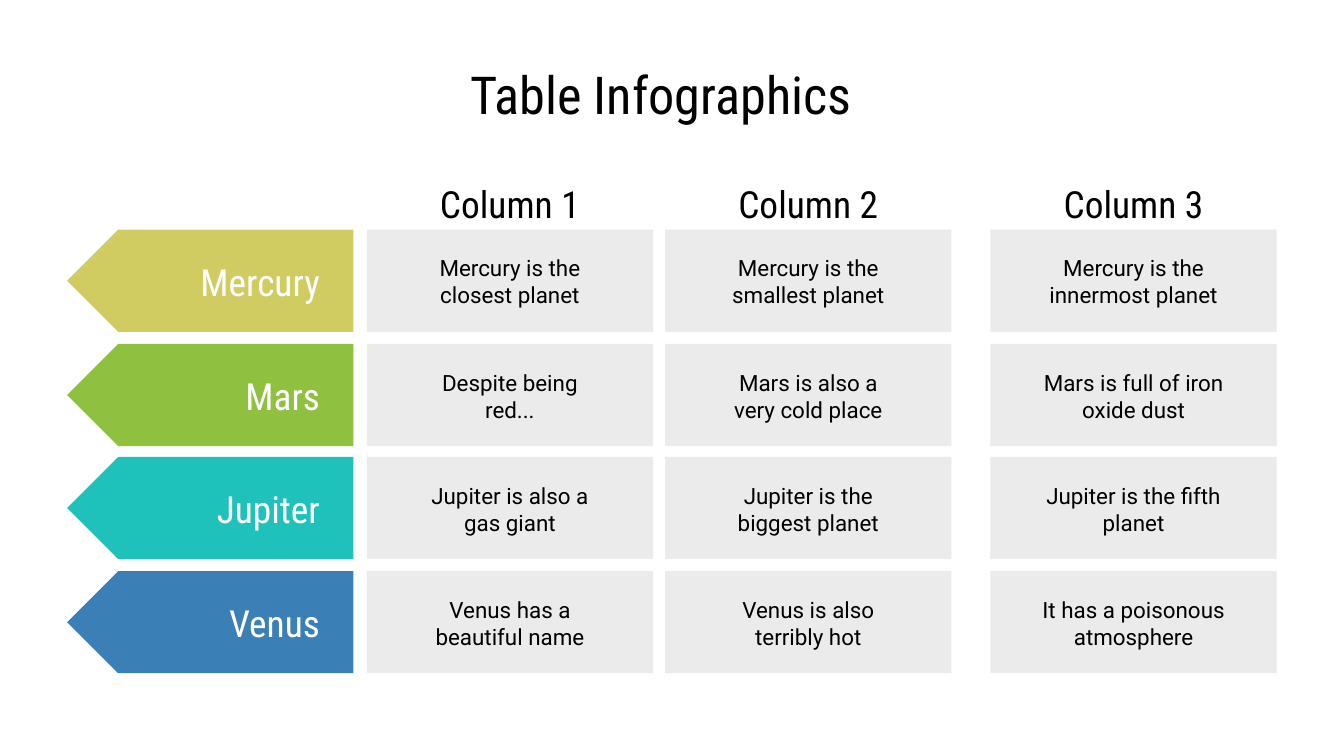
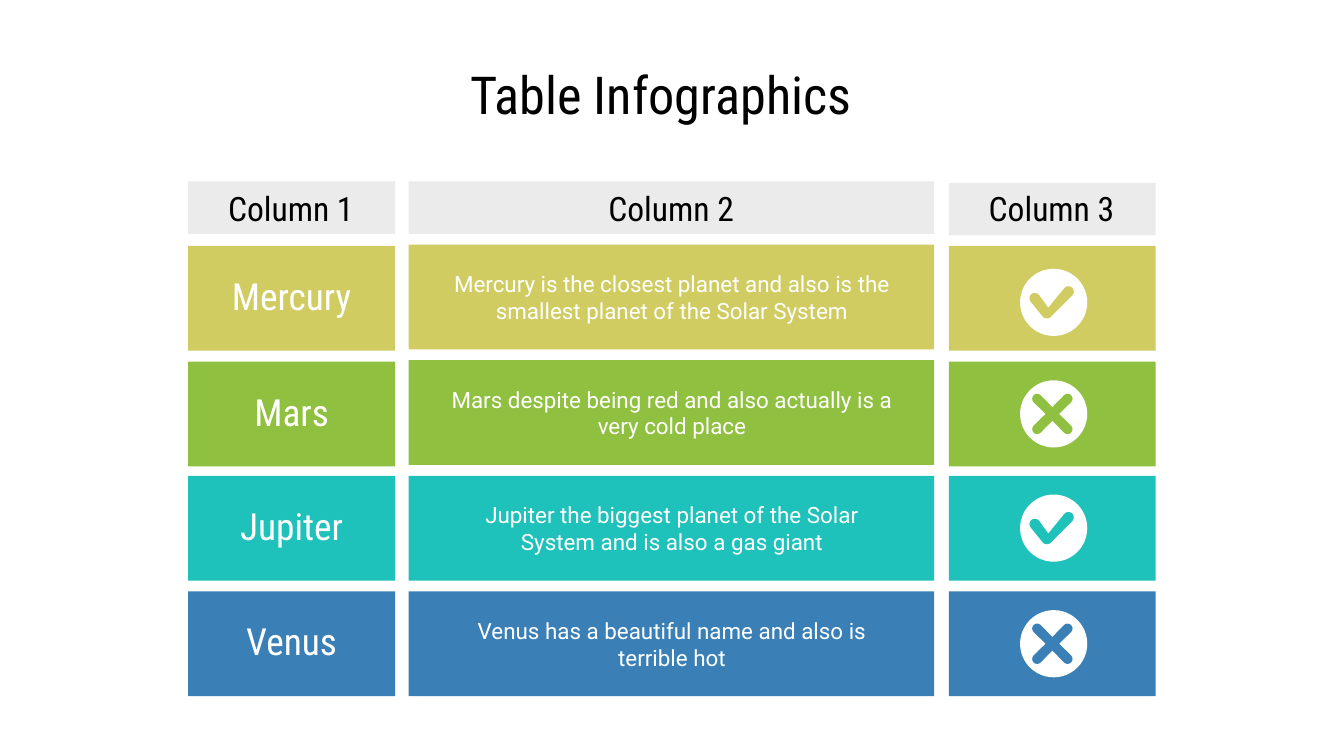
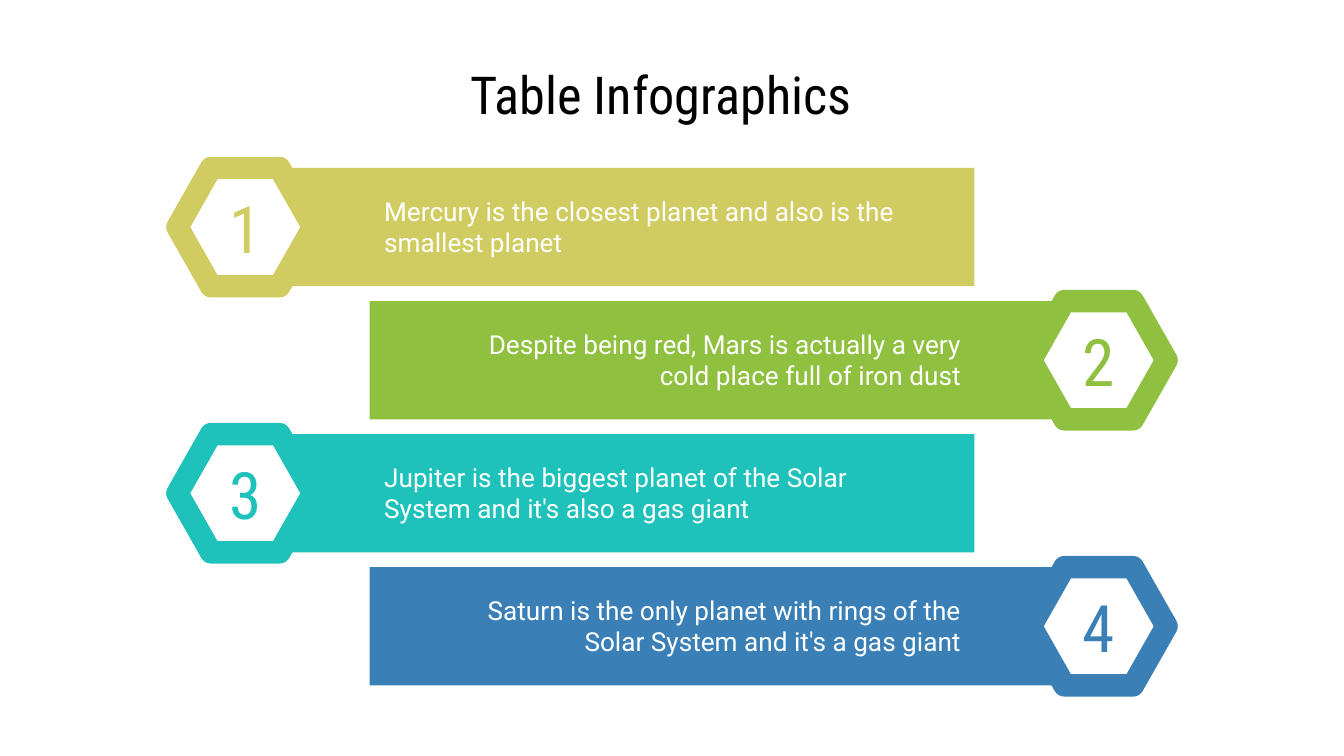
"""Build three table infographic slides about planets."""
import dataclasses
import math
import typing

import lxml.etree
import pptx
import pptx.dml.color
import pptx.enum.shapes
import pptx.enum.text
import pptx.shapes.autoshape
import pptx.shapes.shapetree
import pptx.slide
import pptx.util

PX = 9144
SLIDE_WIDTH = 1000 * PX
SLIDE_HEIGHT = SLIDE_WIDTH * 9 // 16
DRAWING_NS = "http://schemas.openxmlformats.org/drawingml/2006/main"
LEFT = pptx.enum.text.PP_ALIGN.LEFT
CENTER = pptx.enum.text.PP_ALIGN.CENTER
RIGHT = pptx.enum.text.PP_ALIGN.RIGHT
PRESETS = pptx.enum.shapes.MSO_SHAPE

Shapes = typing.Union[pptx.shapes.shapetree.SlideShapes, pptx.shapes.shapetree.GroupShapes]
Shape = pptx.shapes.autoshape.Shape


@dataclasses.dataclass(frozen=True)
class Theme:
    """Colours, fonts and type sizes shared by the slides."""

    ink: str = "000000"
    paper: str = "FFFFFF"
    panel: str = "EBEBEB"
    mercury: str = "D1CC62"
    mars: str = "8FC03F"
    jupiter: str = "1FC2BA"
    venus: str = "3A80B6"
    display: str = "Roboto Condensed"
    body: str = "Roboto"
    title_size: int = 28
    label_size: int = 20
    header_size: int = 18
    fact_size: int = 12
    note_size: int = 14
    number_size: int = 35
    badge_line: int = 12


THEME = Theme()


class Box(typing.NamedTuple):
    """A rectangle in px."""

    left: int
    top: int
    width: int
    height: int

    def emu(self) -> list[int]:
        """Return the rectangle in EMU."""
        return [length * PX for length in self]


class TextStyle(typing.NamedTuple):
    """How one kind of text looks."""

    font: str
    size: int
    color: str
    align: typing.Any = CENTER
    pad_y: int = 10


class Fact(typing.NamedTuple):
    """A table entry and the width of its text."""

    text: str
    width: int = 157


class Arc(typing.NamedTuple):
    """A rounded corner in px and degrees; radius 0 makes it sharp."""

    x: float
    y: float
    radius: float = 0
    start: int = 0
    end: int = 0

    def points(self) -> list[tuple[float, float]]:
        """Return points along the corner."""
        steps = 8 if self.radius else 0
        angles = [math.radians(self.start + (self.end - self.start) * step / max(steps, 1))
                  for step in range(steps + 1)]
        return [(self.x + self.radius * math.cos(angle), self.y + self.radius * math.sin(angle))
                for angle in angles]


class Column(typing.NamedTuple):
    """A column of the verdict table."""

    left: int
    width: int
    header_top: int
    first_top: int


@dataclasses.dataclass(frozen=True)
class Planet:
    """The table content for one planet."""

    name: str
    color: str
    facts: tuple[Fact, Fact, Fact]
    summary: str
    approved: bool
    disc_drop: int = 14


PLANETS = (
    Planet("Mercury", THEME.mercury,
           (Fact("Mercury is the closest planet"), Fact("Mercury is the smallest planet"),
            Fact("Mercury is the innermost planet")),
           "Mercury is the closest planet and also is the smallest planet of the Solar System",
           True, 17),
    Planet("Mars", THEME.mars,
           (Fact("Despite being red..."), Fact("Mars is also a very cold place"),
            Fact("Mars is full of iron oxide dust")),
           "Mars despite being red and also actually is a very cold place", False),
    Planet("Jupiter", THEME.jupiter,
           (Fact("Jupiter is also a gas giant"), Fact("Jupiter is the biggest planet"),
            Fact("Jupiter is the fifth planet")),
           "Jupiter the biggest planet of the Solar System and is also a gas giant", True),
    Planet("Venus", THEME.venus,
           (Fact("Venus has a beautiful name", 175), Fact("Venus is also terribly hot"),
            Fact("It has a poisonous atmosphere")),
           "Venus has a beautiful name and also is terrible hot", False),
)
NOTES = (
    "Mercury is the closest planet and also is the smallest planet",
    "Despite being red, Mars is actually a very cold place full of iron dust",
    "Jupiter is the biggest planet of the Solar System and it's also a gas giant",
    "Saturn is the only planet with rings of the Solar System and it's a gas giant",
)
HEADERS = ("Column 1", "Column 2", "Column 3")
FACT_LEFTS = (273, 495, 737)
VERDICT_COLUMNS = (Column(140, 154, 135, 183), Column(304, 391, 135, 182),
                   Column(706, 154, 136, 183))
CHECK = (Arc(12, -8, 4, -135, 45), Arc(-4, 8, 4, 45, 141), Arc(-13, -3, 4, 141, 321), Arc(-3, 4))
CROSS = tuple(
    corner
    for turn in (0, 90, 180, 270)
    for corner in (
        Arc(16 * math.cos(math.radians(turn + 45)), 16 * math.sin(math.radians(turn + 45)),
            3.7, turn - 45, turn + 135),
        Arc(5 * math.cos(math.radians(turn + 90)), 5 * math.sin(math.radians(turn + 90))),
    )
)
HEXAGON = ((25, 0), (0, 44), (25, 88), (76, 88), (101, 44), (76, 0))

TITLE = TextStyle(THEME.display, THEME.title_size, THEME.ink, LEFT)
COLUMN_LABEL = TextStyle(THEME.display, THEME.label_size, THEME.ink)
HEADER = COLUMN_LABEL._replace(size=THEME.header_size)
PLANET_LABEL = COLUMN_LABEL._replace(color=THEME.paper)
FACT = TextStyle(THEME.body, THEME.fact_size, THEME.ink)
SUMMARY = FACT._replace(color=THEME.paper)
NOTE = TextStyle(THEME.body, THEME.note_size, THEME.paper, LEFT, 5)


def rgb(color: str) -> pptx.dml.color.RGBColor:
    """Turn a hex string into a colour."""
    return pptx.dml.color.RGBColor.from_string(color)


def spread(first: int, last: int, count: int = len(PLANETS)) -> list[int]:
    """Return equally spaced positions from first to last."""
    return [round(first + (last - first) * index / (count - 1)) for index in range(count)]


def assign(target: typing.Any, values: dict[str, typing.Any]) -> None:
    """Set every listed attribute on the target."""
    for attribute, value in values.items():
        setattr(target, attribute, value)


def write(holder: Shape, text: str, style: TextStyle) -> None:
    """Put styled text into a shape."""
    frame = holder.text_frame
    assign(frame, {
        "word_wrap": True,
        "auto_size": pptx.enum.text.MSO_AUTO_SIZE.NONE,
        "vertical_anchor": pptx.enum.text.MSO_ANCHOR.MIDDLE,
        "margin_left": 10 * PX,
        "margin_right": 10 * PX,
        "margin_top": style.pad_y * PX,
        "margin_bottom": style.pad_y * PX,
    })
    paragraph = frame.paragraphs[0]
    paragraph.alignment = style.align
    run = paragraph.add_run()
    run.text = text
    assign(run.font, {"name": style.font, "size": pptx.util.Pt(style.size), "bold": False})
    run.font.color.rgb = rgb(style.color)


def add_text(shapes: Shapes, box: Box, text: str, style: TextStyle) -> None:
    """Add a text box."""
    write(shapes.add_textbox(*box.emu()), text, style)


def paint(shape: Shape, color: str) -> None:
    """Give a shape a plain fill without line or shadow."""
    shape.shadow.inherit = False
    shape.fill.solid()
    shape.fill.fore_color.rgb = rgb(color)
    shape.line.fill.background()


def add_block(shapes: Shapes, box: Box, color: str, preset: typing.Any = PRESETS.RECTANGLE) -> Shape:
    """Add a plain filled preset shape."""
    block = shapes.add_shape(preset, *box.emu())
    paint(block, color)
    return block


def add_outline(shapes: Shapes, left: int, top: int, points: typing.Sequence[tuple[float, float]],
                color: str) -> Shape:
    """Add a closed filled outline whose points are relative to left and top."""
    corners = [((left + x) * PX, (top + y) * PX) for x, y in points]
    builder = shapes.build_freeform(*corners[0])
    builder.add_line_segments(corners[1:], close=True)
    outline = builder.convert_to_shape()
    paint(outline, color)
    return outline


def add_badge(shapes: Shapes, left: int, top: int, number: int, color: str) -> None:
    """Add a numbered hexagon with a thick rounded border."""
    badge = add_outline(shapes, left, top, HEXAGON, THEME.paper)
    badge.line.color.rgb = rgb(color)
    badge.line.width = pptx.util.Pt(THEME.badge_line)
    lxml.etree.SubElement(badge.element.spPr.get_or_add_ln(), f"{{{DRAWING_NS}}}round")
    write(badge, str(number), TextStyle(THEME.display, THEME.number_size, color))


def add_mark(shapes: Shapes, top: int, planet: Planet) -> None:
    """Add a white disc holding a check or a cross."""
    add_block(shapes, Box(759, top, 50, 50), THEME.paper, PRESETS.OVAL)
    corners = CHECK if planet.approved else CROSS
    points = [point for corner in corners for point in corner.points()]
    add_outline(shapes, 783, top + 25, points, planet.color)


def add_titled_slide(deck: typing.Any) -> pptx.slide.Slide:
    """Add a slide with the shared title."""
    slide = deck.slides.add_slide(deck.slide_layouts[5])
    title = slide.shapes.title
    assign(title, dict(zip(("left", "top", "width", "height"), Box(340, 45, 321, 49).emu())))
    write(title, "Table Infographics", TITLE)
    return slide


def build_fact_table(slide: pptx.slide.Slide) -> None:
    """Draw planet arrows beside three columns of facts."""
    for left, header in zip(FACT_LEFTS, HEADERS):
        add_text(slide.shapes, Box(left, 132, 213, 39), header, COLUMN_LABEL)
    for top, planet in zip(spread(171, 425), PLANETS):
        row = slide.shapes.add_group_shape().shapes
        arrow = add_block(row, Box(50, top, 213, 76), planet.color, PRESETS.PENTAGON)
        arrow.adjustments[0] = 0.5
        arrow.element.spPr.xfrm.set("flipH", "1")
        add_text(row, Box(138, top + 19, 110, 39), planet.name, PLANET_LABEL._replace(align=RIGHT))
        for left, fact in zip(FACT_LEFTS, planet.facts):
            add_block(row, Box(left, top, 213, 76), THEME.panel)
            text_left = left + (213 - fact.width) // 2
            add_text(row, Box(text_left, top + 10, fact.width, 57), fact.text, FACT)


def build_verdict_table(slide: pptx.slide.Slide) -> None:
    """Draw planets with a summary and a check or cross."""
    for column, header in zip(VERDICT_COLUMNS, HEADERS):
        heading = slide.shapes.add_group_shape().shapes
        add_block(heading, Box(column.left, column.header_top, column.width, 39), THEME.panel)
        text_left = column.left + (column.width - 133) // 2
        add_text(heading, Box(text_left, 135, 133, 40), header, HEADER)
    column_tops = [spread(column.first_top, 440) for column in VERDICT_COLUMNS]
    for planet, tops in zip(PLANETS, zip(*column_tops)):
        row = slide.shapes.add_group_shape().shapes
        for column, top in zip(VERDICT_COLUMNS, tops):
            add_block(row, Box(column.left, top, column.width, 78), planet.color)
        name_top, summary_top, mark_top = tops
        add_text(row, Box(161, name_top + 17, 112, 40), planet.name, PLANET_LABEL)
        add_text(row, Box(324, summary_top + 10, 352, 58), planet.summary, SUMMARY)
        add_mark(row, mark_top + planet.disc_drop, planet)


def build_numbered_bars(slide: pptx.slide.Slide) -> None:
    """Draw numbered bars alternating between left and right."""
    sides = ((179, 132, 276, LEFT), (275, 767, 320, RIGHT))
    for index, (top, planet, note) in enumerate(zip(spread(125, 422), PLANETS, NOTES)):
        bar_left, badge_left, note_left, align = sides[index % 2]
        row = slide.shapes.add_group_shape().shapes
        add_block(row, Box(bar_left, top, 546, 88), planet.color)
        add_badge(row, badge_left, top, index + 1, planet.color)
        add_text(row, Box(note_left, top + 20, 405, 47), note, NOTE._replace(align=align))


def main() -> None:
    """Build and save the presentation."""
    deck = pptx.Presentation()
    assign(deck, {"slide_width": SLIDE_WIDTH, "slide_height": SLIDE_HEIGHT})
    for build in (build_fact_table, build_verdict_table, build_numbered_bars):
        build(add_titled_slide(deck))
    deck.save("out.pptx")


if __name__ == "__main__":
    main()
